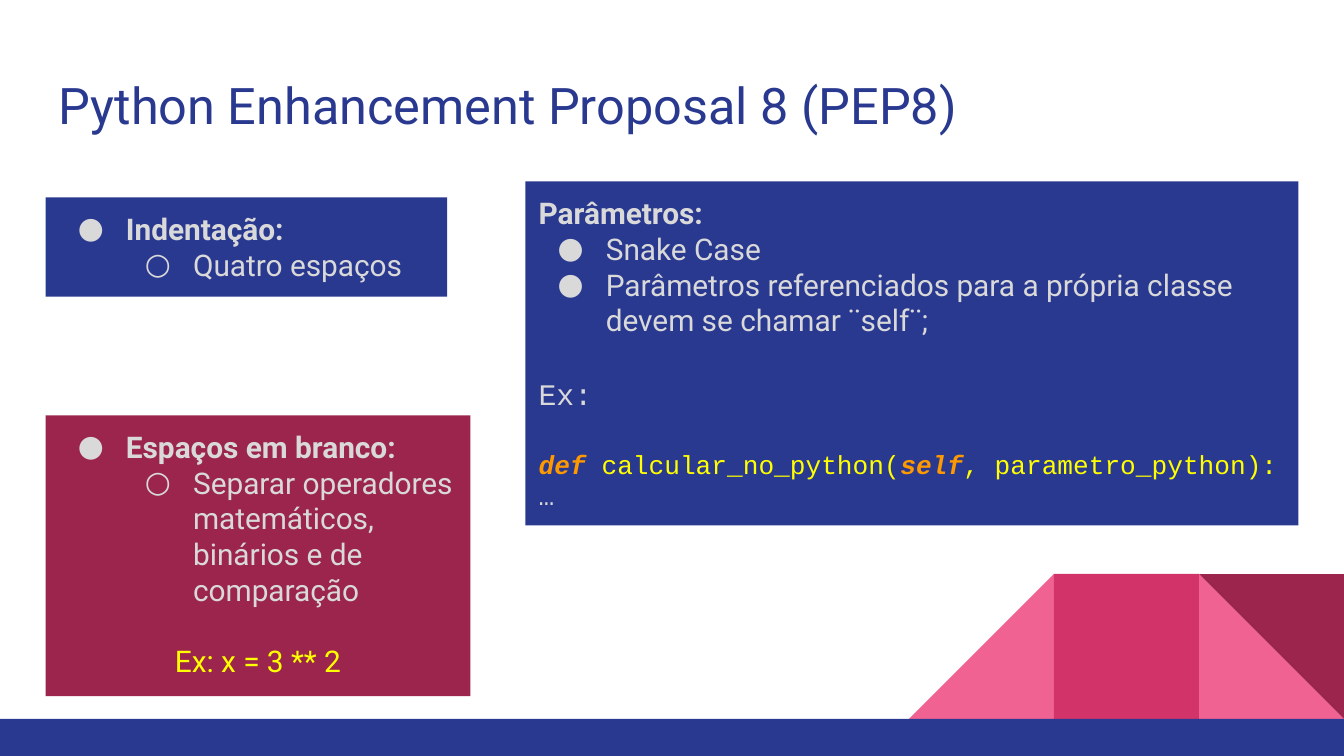
from dataclasses import dataclass

from lxml import etree
from pptx import Presentation
from pptx.dml.color import RGBColor
from pptx.enum import shapes, text
from pptx.oxml import ns
from pptx.util import Cm, Pt

NAVY, WINE, ROSE, PINK = "2A3990", "9C254D", "D23369", "F06292"
GREY, GOLD, AMBER = "D9D9D9", "FFFF00", "FF9900"
SANS, MONO = "Roboto", "Courier New"
WIDE, HIGH, BAR, SIDE = 25.4, 14.29, 0.7, 2.74


@dataclass
class Line:
    words: str
    mark: str = ""
    level: int = 0
    bold: bool = False
    size: int = 16
    face: str = SANS
    hue: str = GREY
    gap: int = 0
    align: text.PP_ALIGN = text.PP_ALIGN.LEFT
    keys: tuple = ()


@dataclass
class Panel:
    slot: int
    area: tuple
    hue: str
    lines: list


@dataclass
class Tile:
    kind: shapes.MSO_SHAPE
    area: tuple
    hue: str
    turn: int = 0


def color(hue: str) -> RGBColor:
    return RGBColor.from_string(hue)


def place(shape, area: tuple) -> None:
    shape.left, shape.top, shape.width, shape.height = map(Cm, area)


def style(font, line: Line) -> None:
    font.name, font.size, font.bold = line.face, Pt(line.size), line.bold
    font.color.rgb = color(line.hue)


def bullet(para, line: Line) -> None:
    props = para._p.get_or_add_pPr()
    left = Cm(1.27 * (line.level + 1)) if line.mark else 0
    props.set("marL", str(left))
    props.set("indent", str(Cm(-0.91) if line.mark else 0))
    if not line.mark:
        etree.SubElement(props, ns.qn("a:buNone"))
        return
    tint = etree.SubElement(props, ns.qn("a:buClr"))
    etree.SubElement(tint, ns.qn("a:srgbClr"), val=line.hue)
    etree.SubElement(props, ns.qn("a:buFont"), typeface=line.face)
    etree.SubElement(props, ns.qn("a:buChar"), char=line.mark)


def write(para, line: Line) -> None:
    para.level, para.alignment = line.level, line.align
    para.space_before, para.line_spacing = Pt(line.gap), 1.0
    bullet(para, line)
    style(para.font, line)
    rest = line.words
    for key in line.keys:
        head, rest = rest.split(key, 1)
        if head:
            para.add_run().text = head
        run = para.add_run()
        run.text = key
        run.font.bold = run.font.italic = True
        run.font.color.rgb = color(AMBER)
    para.add_run().text = rest


def fill_text(shape, lines: list, anchor: text.MSO_ANCHOR) -> None:
    frame = shape.text_frame
    frame.word_wrap, frame.auto_size = True, text.MSO_AUTO_SIZE.NONE
    frame.vertical_anchor = anchor
    frame.margin_left = frame.margin_right = Cm(0.25)
    frame.margin_top = frame.margin_bottom = Cm(0.25)
    for spot, line in enumerate(lines):
        write(frame.add_paragraph() if spot else frame.paragraphs[0], line)


def draw_tile(slide, tile: Tile) -> None:
    shape = slide.shapes.add_shape(tile.kind, *map(Cm, tile.area))
    shape.shadow.inherit = False
    shape.fill.solid()
    shape.fill.fore_color.rgb = color(tile.hue)
    shape.line.fill.background()
    shape.rotation = tile.turn


def draw_panel(slide, panel: Panel) -> None:
    shape = slide.placeholders[panel.slot]
    place(shape, panel.area)
    shape.fill.solid()
    shape.fill.fore_color.rgb = color(panel.hue)
    fill_text(shape, panel.lines, text.MSO_ANCHOR.TOP)


def block(step: int) -> tuple:
    return WIDE - step * SIDE, HIGH - BAR - SIDE, SIDE, SIDE


WEDGE, RECT = shapes.MSO_SHAPE.RIGHT_TRIANGLE, shapes.MSO_SHAPE.RECTANGLE
TILES = [
    Tile(WEDGE, block(1), PINK),
    Tile(WEDGE, block(3), PINK, 270),
    Tile(RECT, block(2), ROSE),
    Tile(WEDGE, block(1), WINE, 180),
    Tile(RECT, (0, HIGH - BAR, WIDE, BAR), NAVY),
]
PANELS = [
    Panel(1, (0.86, 3.73, 7.59, 1.88), NAVY, [
        Line("Indentação:", "●", bold=True),
        Line("Quatro espaços", "○", 1),
    ]),
    Panel(2, (0.86, 7.85, 8.03, 5.31), WINE, [
        Line("Espaços em branco:", "●", bold=True),
        Line("Separar operadores matemáticos, binários e de comparação", "○", 1),
        Line("Ex: x = 3 ** 2", hue=GOLD, gap=19, align=text.PP_ALIGN.CENTER),
    ]),
    Panel(3, (9.93, 3.43, 14.61, 6.5), NAVY, [
        Line("Parâmetros:", bold=True),
        Line("Snake Case", "●"),
        Line("Parâmetros referenciados para a própria classe "
             "devem se chamar ¨self¨;", "●"),
        Line("Ex:", face=MONO, gap=20),
        Line("def calcular_no_python(self, parametro_python):", size=14,
             face=MONO, hue=GOLD, gap=20, keys=("def ", "self")),
        Line("…", size=14, face=MONO),
    ]),
]


def main() -> None:
    deck = Presentation()
    deck.slide_width, deck.slide_height = Cm(WIDE), Cm(HIGH)
    slide = deck.slides.add_slide(deck.slide_layouts.get_by_name("Comparison"))
    for tile in TILES:
        draw_tile(slide, tile)
    title = slide.shapes.title
    place(title, (0.86, 1.14, 23.67, 1.68))
    head = Line("Python Enhancement Proposal 8 (PEP8)", size=27, hue=NAVY)
    fill_text(title, [head], text.MSO_ANCHOR.MIDDLE)
    for panel in PANELS:
        draw_panel(slide, panel)
    for holder in list(slide.placeholders):
        if not holder.text_frame.text:
            holder._element.getparent().remove(holder._element)
    deck.save("out.pptx")


if __name__ == "__main__":
    main()
